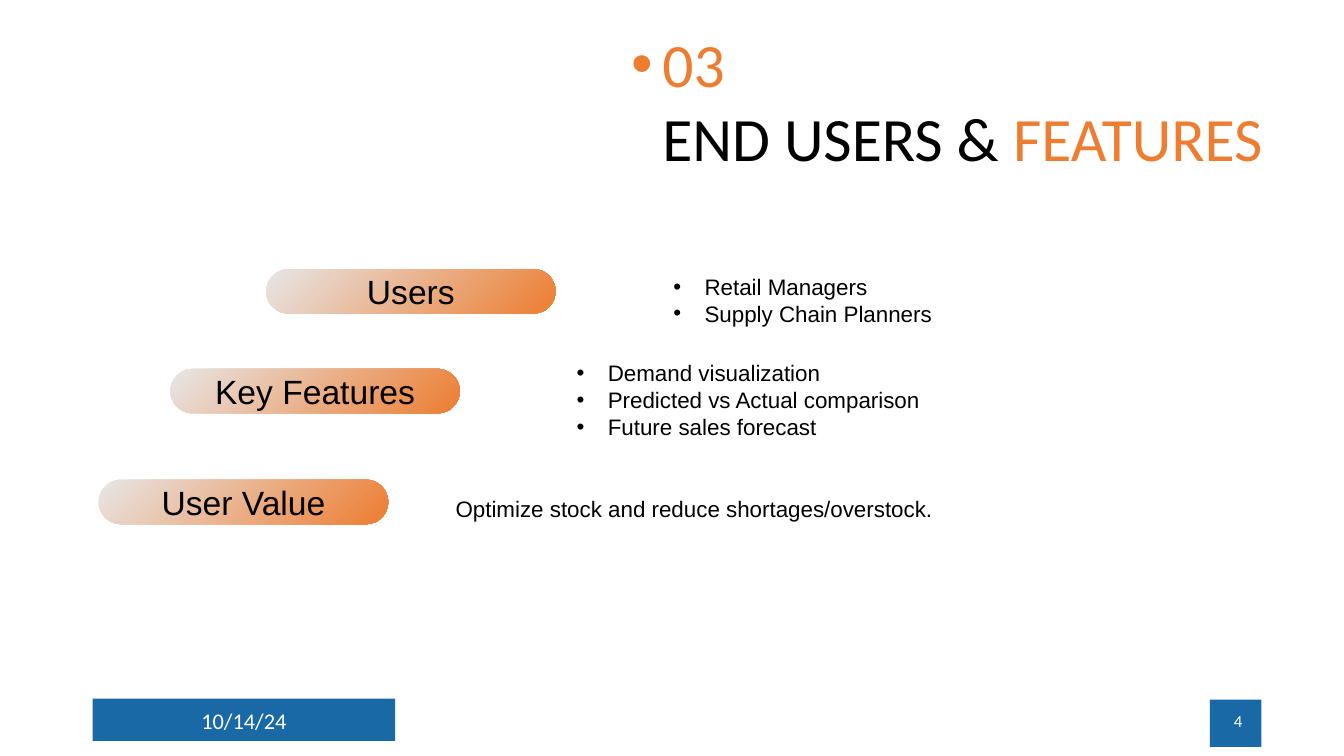
from lxml import etree
from pptx import Presentation
from pptx.dml.color import RGBColor
from pptx.enum.shapes import MSO_SHAPE
from pptx.enum.text import MSO_ANCHOR, MSO_AUTO_SIZE, PP_ALIGN
from pptx.oxml.ns import qn
from pptx.util import Pt

PX = 9144
LEFT, CENTER, RIGHT = PP_ALIGN.LEFT, PP_ALIGN.CENTER, PP_ALIGN.RIGHT
MIDDLE, TOP = MSO_ANCHOR.MIDDLE, MSO_ANCHOR.TOP
NO_FIT = MSO_AUTO_SIZE.NONE
RECT, PILL = MSO_SHAPE.RECTANGLE, MSO_SHAPE.ROUNDED_RECTANGLE
COLORS = {"orange": "ED7D31", "grey": "E7E6E6", "blue": "1869A6",
          "black": "000000", "white": "FFFFFF"}
TITLE_FONT = {"name": "Calibri", "size": Pt(44), "bold": False}
DATE_FONT = {"name": "Calibri", "size": Pt(16)}
NUMBER_FONT = {"name": "Calibri", "size": Pt(12)}
LABEL_FONT = {"name": "Arial", "size": Pt(24)}
NOTE_FONT = {"name": "Arial", "size": Pt(16)}
INDENT = 31
ROWS = [
    ((264, 267), "Users", (394, 0, 422, 61),
     ["Retail Managers", "Supply Chain Planners"]),
    ((169, 366), "Key Features", (393, 0, 422, 61),
     ["Demand visualization", "Predicted vs Actual comparison",
      "Future sales forecast"]),
    ((98, 476), "User Value", (329, 10, 515, 37),
     ["Optimize stock and reduce shortages/overstock."]),
]


def rgb(name):
    """Return the named colour."""
    return RGBColor.from_string(COLORS[name])


def px(*lengths):
    """Turn px lengths into EMU."""
    return [n * PX for n in lengths]


def set_all(obj, values):
    """Set every attribute in values on obj."""
    for name, value in values.items():
        setattr(obj, name, value)


def set_frame(tf, inset=5, wrap=True, anchor=MIDDLE):
    """Set the insets, wrapping and anchor of a text frame."""
    set_all(tf, {"auto_size": NO_FIT, "word_wrap": wrap,
                 "vertical_anchor": anchor,
                 "margin_left": 10 * PX, "margin_right": 10 * PX,
                 "margin_top": inset * PX, "margin_bottom": inset * PX})


def add_run(p, text, font, color):
    """Append a formatted run to a paragraph."""
    r = p.add_run()
    r.text = text
    set_all(r.font, font)
    r.font.color.rgb = rgb(color)


def add_bullet(p):
    """Give a paragraph a hanging round bullet."""
    pPr = p._p.get_or_add_pPr()
    pPr.set("marL", str(INDENT * PX))
    pPr.set("indent", str(-INDENT * PX))
    etree.SubElement(pPr, qn("a:buFont")).set("typeface", "Arial")
    etree.SubElement(pPr, qn("a:buChar")).set("char", "•")


def add_text(s, box, text, font, color, align):
    """Add a one-line text box."""
    tf = s.shapes.add_textbox(*px(*box)).text_frame
    set_frame(tf)
    p = tf.paragraphs[0]
    p.alignment = align
    add_run(p, text, font, color)


def add_shape(s, kind, box):
    """Add a shape without line or shadow."""
    sp = s.shapes.add_shape(kind, *px(*box))
    sp.shadow.inherit = False
    sp.line.fill.background()
    return sp


def add_title(s, box):
    """Place the two-colour title."""
    sp = s.shapes.title
    set_all(sp, dict(zip(("left", "top", "width", "height"), px(*box))))
    set_frame(sp.text_frame)
    p = sp.text_frame.paragraphs[0]
    p.alignment = LEFT
    add_bullet(p)
    add_run(p, "03", TITLE_FONT, "orange")
    p.add_line_break()
    add_run(p, "END USERS & ", TITLE_FONT, "black")
    add_run(p, "FEATURES", TITLE_FONT, "orange")
    p.add_line_break()


def add_footer(s, box):
    """Add the date bar and the page number block."""
    x, y, w, h = box
    for bar in ((x, y, 300, 42), (x + 1108, y + 1, 51, 47)):
        sp = add_shape(s, RECT, bar)
        sp.fill.solid()
        sp.fill.fore_color.rgb = rgb("blue")
    add_text(s, (x, y + 2, 300, 40), "10/14/24", DATE_FONT, "white", CENTER)
    add_text(s, (x + w - 300, y + 2, 300, 40), "4", NUMBER_FONT, "white", RIGHT)


def add_label(s, box, label):
    """Add a gradient pill with its label."""
    sp = add_shape(s, PILL, box)
    sp.adjustments[0] = 0.5
    sp.fill.gradient()
    sp.fill.gradient_angle = 315
    for stop, color in zip(sp.fill.gradient_stops, ("grey", "orange")):
        stop.color.rgb = rgb(color)
    set_frame(sp.text_frame, 10)
    p = sp.text_frame.paragraphs[0]
    p.alignment = CENTER
    add_run(p, label, LABEL_FONT, "black")


def add_notes(s, box, notes):
    """Add a bulleted list, or one plain indented line."""
    tf = s.shapes.add_textbox(*px(*box)).text_frame
    is_list = len(notes) > 1
    if is_list:
        set_frame(tf, 10)
    else:
        set_frame(tf, 5, False, TOP)
    for i, note in enumerate(notes):
        p = tf.add_paragraph() if i else tf.paragraphs[0]
        if is_list:
            add_bullet(p)
        else:
            p._p.get_or_add_pPr().set("marL", str(15 * PX))
        add_run(p, note, NOTE_FONT, "black")


def main():
    """Build and save the slide."""
    prs = Presentation()
    prs.slide_width, prs.slide_height = px(1333, 750)
    s = prs.slides.add_slide(prs.slide_layouts[5])
    add_footer(s, (92, 693, 1150, 48))
    add_title(s, (616, -107, 717, 486))
    for (x, y), label, (dx, dy, w, h), notes in ROWS:
        add_label(s, (x, y, 287, 44), label)
        add_notes(s, (x + dx, y + dy, w, h), notes)
    prs.save("out.pptx")


if __name__ == "__main__":
    main()
